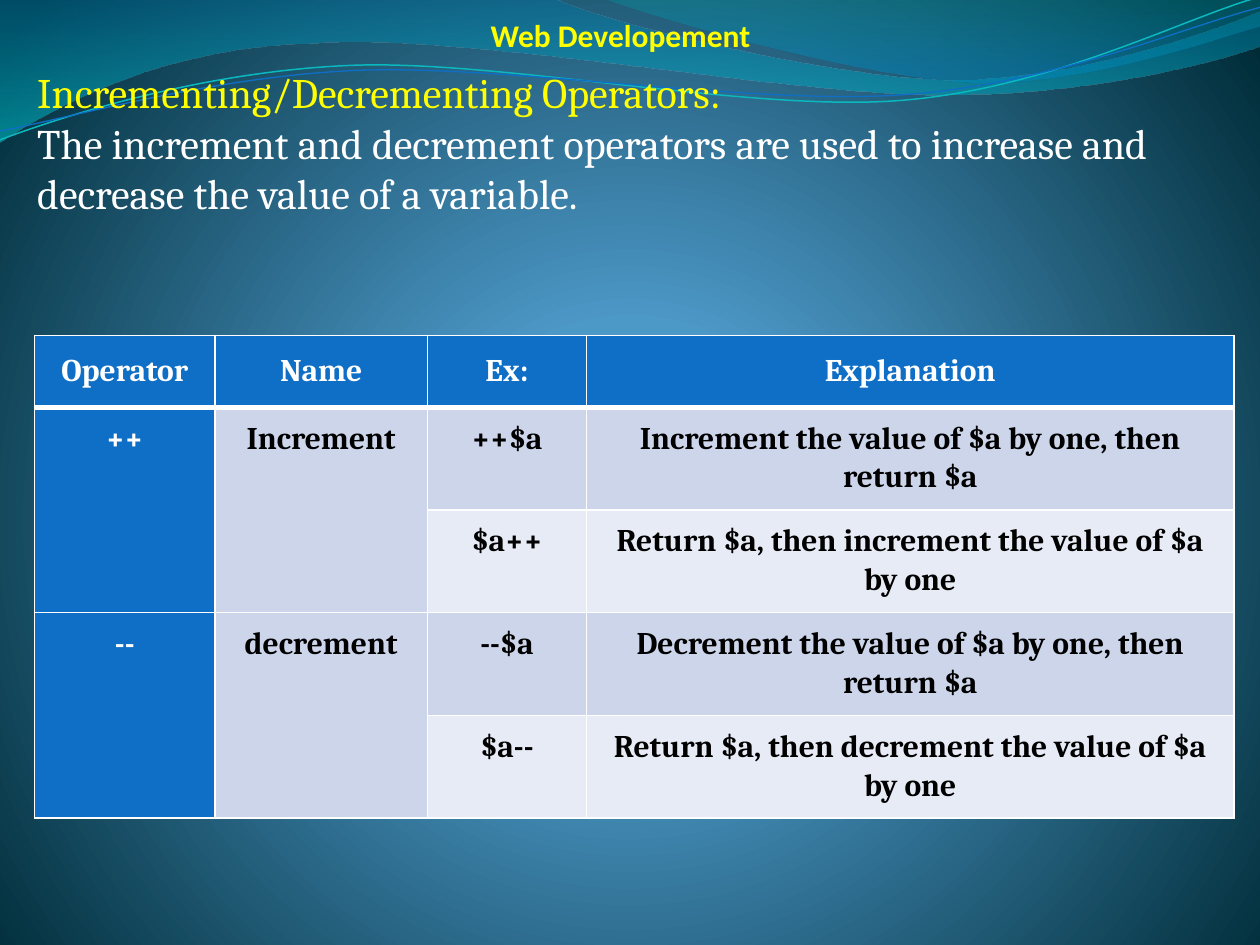
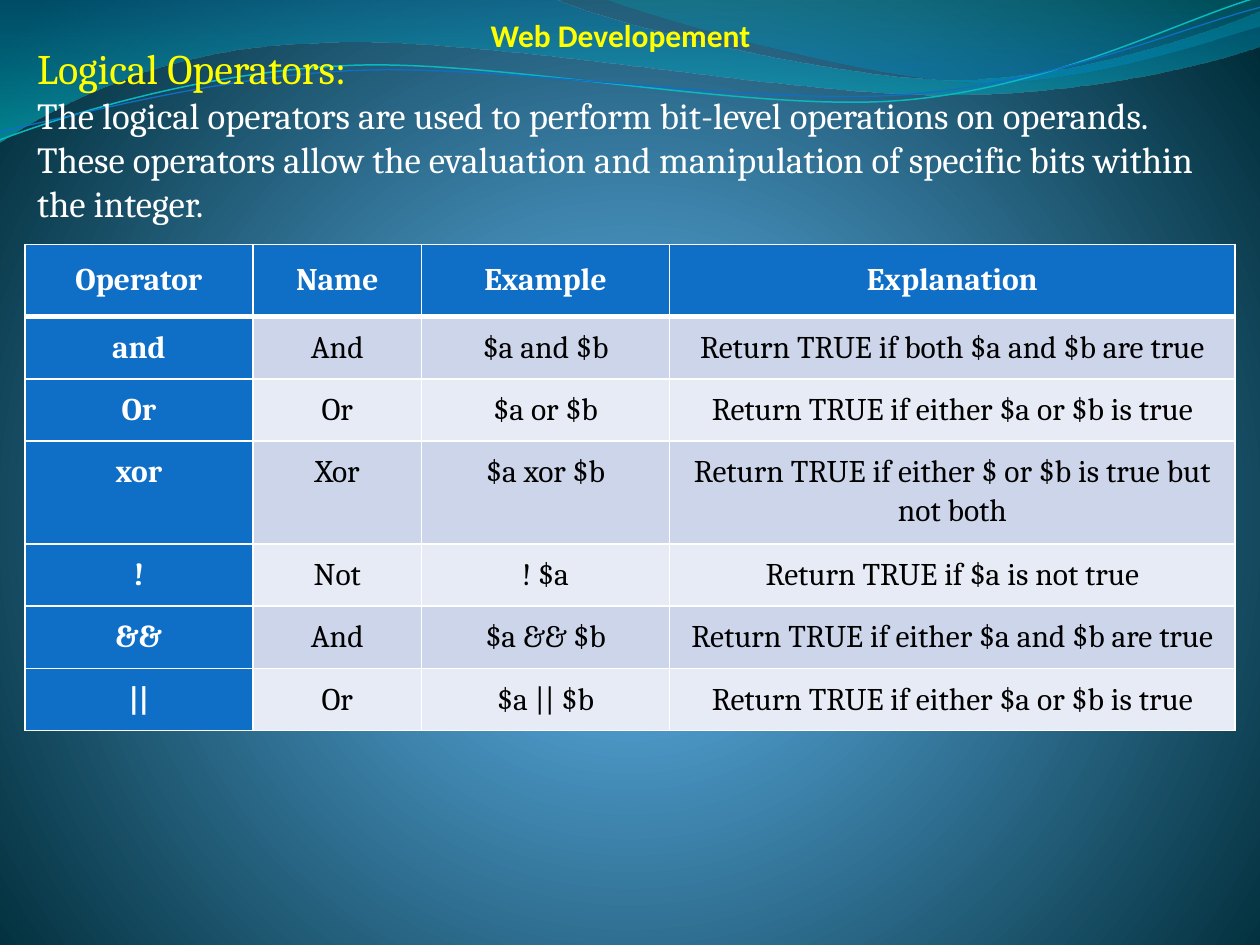
"""Build two slides on PHP operators, each with an introduction and a table."""
from lxml import etree
from pptx import Presentation
from pptx import util as u
from pptx.dml.color import RGBColor
from pptx.enum import text
from pptx.oxml import ns

COLORS = {
    "heading": "FFFF00", "white": "FFFFFF", "black": "000000", "blue": "0F6FC6",
    "band_dark": "CCD5EA", "band_light": "E7EBF5", "strand": "0AB8BF",
    "sky": "4AA0D6", "sky_mid": "4C98C7", "night": "002C38",
    "wave_top": "0074A1", "wave_bottom": "00C6CF",
    "crest_top": "00A1A9", "crest_bottom": "008BBF",
}
RGB = {name: RGBColor.from_string(value) for name, value in COLORS.items()}
DOWNWARD = '<a:lin ang="5400000" scaled="0"/>'
RADIAL = ('<a:path path="circle"><a:fillToRect l="10000" t="110000" '
          'r="10000" b="100000"/></a:path>')

WAVES = [
    {"steps": [(0, 0), (11.18, -0.03), (12.09, 0.43, 16.87, 1.6, 19.25, 1.6),
               (21.67, 1.6, 24.33, 0.66, 25.4, 0.23), (25.43, 0.91),
               (24.97, 1.12, 22.1, 1.93, 18.95, 1.91),
               (15.8, 1.91, 9.7, 0.71, 6.53, 0.86),
               (3.28, 0.91, 1.17, 2.11, -0.03, 2.87)],
     "stops": [(0, "wave_top", 45), (100, "wave_bottom", 55)]},
    {"steps": [(12.17, -0.03), (12.93, 0.28, 17.32, 1.57, 19.53, 1.65),
               (21.74, 1.75, 24.41, 0.81, 25.4, 0.53), (25.4, 0)],
     "stops": [(0, "crest_top", 30), (80, "crest_bottom", 45)]},
    {"steps": [(0, 2.82), (1.22, 2.36, 4.01, 1.45, 7.04, 1.32),
               (10.03, 1.19, 15.06, 2.26, 18.11, 2.03),
               (21.16, 1.8, 23.83, 0.38, 25.35, -0.05)],
     "line": ("strand", 0.85)},
    {"steps": [(0, 2.64), (1.19, 2.44, 4.17, 1.55, 7.19, 1.42),
               (10.24, 1.3, 15.16, 2.13, 18.21, 1.91),
               (21.23, 1.7, 23.9, 0.53, 25.4, 0.15)],
     "line": ("blue", 0.75)},
]

PAGES = [
    {"heading": "Incrementing/Decrementing Operators:",
     "intro": "The increment and decrement operators are used to increase and "
              "decrease the value of a variable.",
     "intro_size": 24, "intro_at": (1.22, 5.38), "table_at": (0.7, 6.76),
     "columns": [3.63, 4.29, 3.2, 13.06], "heights": [1.45] + [2.05] * 4,
     "bold_body": True,
     "rows": [
         ["Operator", "Name", "Ex:", "Explanation"],
         ["++", "Increment", "++$a", "Increment the value of $a by one, then return $a"],
         ["", "", "$a++", "Return $a, then increment the value of $a by one"],
         ["--", "decrement", "--$a", "Decrement the value of $a by one, then return $a"],
         ["", "", "$a--", "Return $a, then decrement the value of $a by one"]]},
    {"heading": "Logical Operators:",
     "intro": "The logical operators are used to perform bit-level operations on "
              "operands. These operators allow the evaluation and manipulation of "
              "specific bits within the integer.",
     "intro_size": 21, "intro_at": (0.73, 5), "table_at": (0.5, 4.93),
     "columns": [4.6, 3.4, 5, 11.4],
     "heights": [1.45, 1.24, 1.24, 2.05, 1.24, 1.24, 1.24],
     "bold_body": False,
     "rows": [
         ["Operator", "Name", "Example", "Explanation"],
         ["and", "And", "$a and $b", "Return TRUE if both $a and $b are true"],
         ["Or", "Or", "$a or $b", "Return TRUE if either $a or $b is true"],
         ["xor", "Xor", "$a xor $b", "Return TRUE if either $ or $b is true but not both"],
         ["!", "Not", "! $a", "Return TRUE if $a is not true"],
         ["&&", "And", "$a && $b", "Return TRUE if either $a and $b are true"],
         ["||", "Or", "$a || $b", "Return TRUE if either $a or $b is true"]]},
]


def set_gradient(parent, stops, direction):
    """Replace the solid fill of parent by a gradient."""
    marks = "".join(
        f'<a:gs pos="{place * 1000}"><a:srgbClr val="{COLORS[color]}">'
        f'<a:alpha val="{opacity * 1000}"/></a:srgbClr></a:gs>'
        for place, color, opacity in stops)
    gradient = etree.fromstring(
        f'<a:gradFill {ns.nsdecls("a")} rotWithShape="1">'
        f'<a:gsLst>{marks}</a:gsLst>{direction}</a:gradFill>')
    parent.replace(parent.find(ns.qn("a:solidFill")), gradient)


def style_paragraph(para, font_name, size, color, bold=False):
    """Set the font that all runs of the paragraph share."""
    para.font.name = font_name
    para.font.size = u.Pt(size)
    para.font.bold = bold
    para.font.color.rgb = RGB[color]


deck = Presentation()
deck.slide_width, deck.slide_height = u.Cm(25.4), u.Cm(19.05)
layout = deck.slide_layouts[5]
pages = [deck.slides.add_slide(layout) for _ in PAGES]

layout.background.fill.solid()
set_gradient(layout.element.find(".//" + ns.qn("p:bgPr")),
             [(0, "sky", 100), (25, "sky_mid", 100), (100, "night", 100)], RADIAL)

for wave in WAVES:
    steps = wave["steps"]
    anchors = [(u.Cm(step[-2]), u.Cm(step[-1])) for step in steps]
    builder = pages[0].shapes.build_freeform(*anchors[0])
    builder.add_line_segments(anchors[1:], close="stops" in wave)
    shape = builder.convert_to_shape()
    outline = shape.element.find(".//" + ns.qn("a:path"))
    for step, segment in zip(steps, list(outline)):
        if len(step) == 6:
            points = "".join(
                f'<a:pt x="{u.Cm(x) - shape.left}" y="{u.Cm(y) - shape.top}"/>'
                for x, y in zip(step[::2], step[1::2]))
            outline.replace(segment, etree.fromstring(
                f'<a:cubicBezTo {ns.nsdecls("a")}>{points}</a:cubicBezTo>'))
    shape.shadow.inherit = False
    if "stops" in wave:
        shape.fill.solid()
        set_gradient(shape.element.spPr, wave["stops"], DOWNWARD)
        shape.line.fill.background()
    else:
        color, width = wave["line"]
        shape.fill.background()
        shape.line.color.rgb = RGB[color]
        shape.line.width = u.Pt(width)
    layout.shapes.element.append(shape.element)

for page, content in zip(pages, PAGES):
    title = page.shapes.title
    title.left, title.top, title.width, title.height = map(u.Cm, (4.57, 0.2, 15.88, 1.02))
    title.text_frame.text = "Web Developement"
    title.text_frame.vertical_anchor = text.MSO_ANCHOR.TOP
    title.text_frame.auto_size = text.MSO_AUTO_SIZE.NONE
    title.text_frame.paragraphs[0].alignment = text.PP_ALIGN.CENTER
    style_paragraph(title.text_frame.paragraphs[0], "Calibri", 18, "heading", True)

    top, height = content["intro_at"]
    box = page.shapes.add_textbox(*map(u.Cm, (0.5, top, 24.4, height)))
    box.text_frame.word_wrap = True
    box.text_frame.text = content["heading"] + "\n" + content["intro"]
    heading, intro = box.text_frame.paragraphs
    style_paragraph(heading, "Cambria", 24, "heading")
    style_paragraph(intro, "Cambria", content["intro_size"], "white")

    rows, columns, heights = content["rows"], content["columns"], content["heights"]
    table = page.shapes.add_table(
        len(rows), len(columns), *map(u.Cm, content["table_at"]),
        u.Cm(sum(columns)), u.Cm(sum(heights))).table
    for column, width in zip(table.columns, columns):
        column.width = u.Cm(width)
    for row, height in zip(table.rows, heights):
        row.height = u.Cm(height)

    for r, row in enumerate(rows):
        for c, label in enumerate(row):
            cell = table.cell(r, c)
            strong = r == 0 or c == 0
            band = "band_dark" if r % 2 else "band_light"
            cell.fill.solid()
            cell.fill.fore_color.rgb = RGB["blue" if strong else band]
            margin = u.Cm(0.22 if r else 0.3)
            cell.margin_left = cell.margin_right = margin
            cell.margin_top = cell.margin_bottom = margin
            cell.text = label
            para = cell.text_frame.paragraphs[0]
            para.alignment = text.PP_ALIGN.CENTER
            para.line_spacing = 1.07
            style_paragraph(para, "Cambria", 18, "white" if strong else "black",
                            strong or content["bold_body"])
            for i, side in enumerate("LRTB"):
                thick = (r, side) in ((0, "B"), (1, "T"))
                cell._tc.get_or_add_tcPr().insert(i, etree.fromstring(
                    f'<a:ln{side} {ns.nsdecls("a")} w="{u.Pt(3 if thick else 1)}">'
                    f'<a:solidFill><a:srgbClr val="{COLORS["white"]}"/></a:solidFill>'
                    f'</a:ln{side}>'))
            if not label:
                table.cell(r - 1, c).merge(cell)

deck.save("out.pptx")
